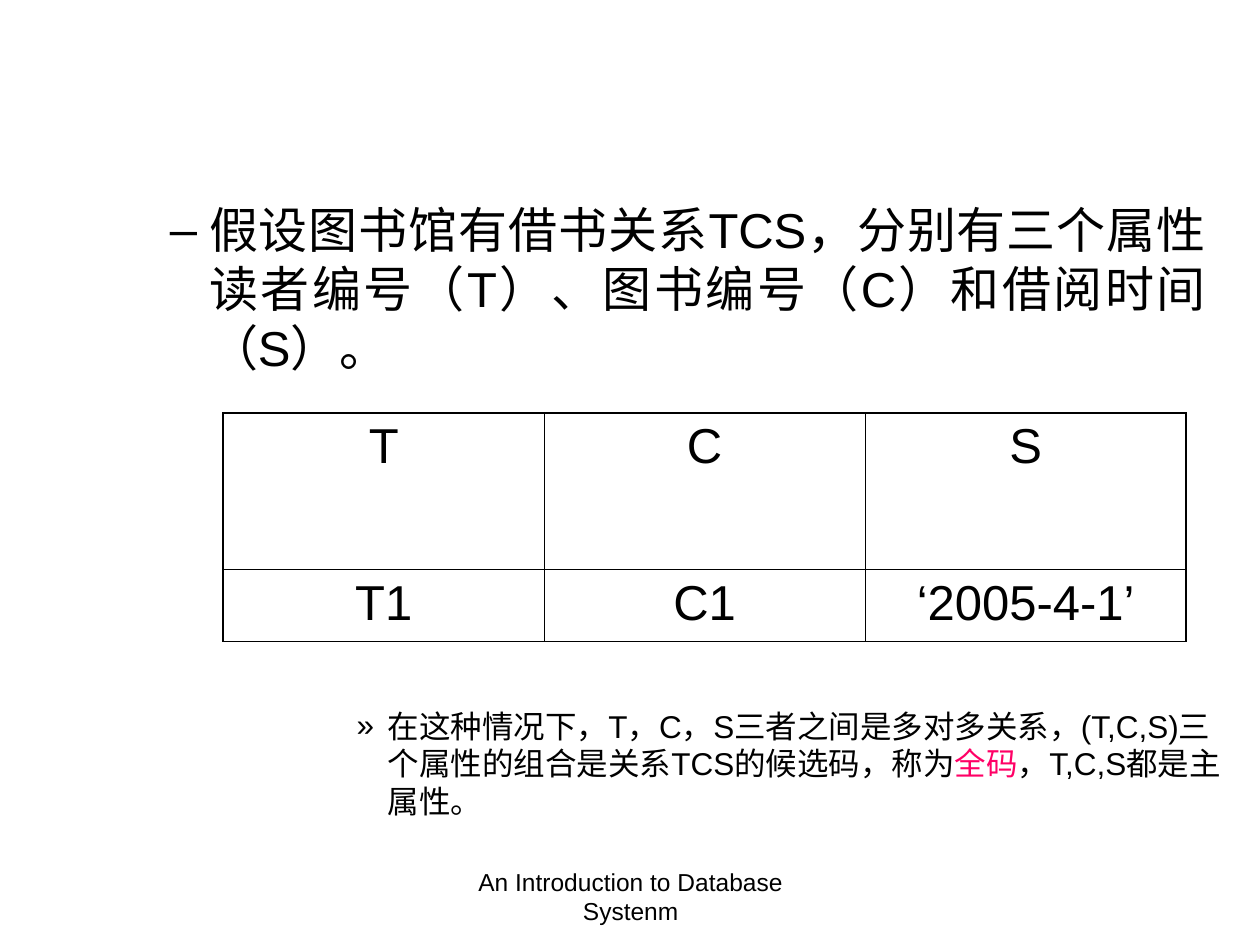
from dataclasses import dataclass

from lxml import etree
from pptx import Presentation
from pptx.dml.color import RGBColor
from pptx.enum.text import MSO_ANCHOR, MSO_AUTO_SIZE, PP_ALIGN
from pptx.oxml.ns import qn
from pptx.util import Cm, Pt

BLACK = RGBColor(0x00, 0x00, 0x00)
PINK = RGBColor(0xFF, 0x00, 0x66)
FONT = "Arial"
CENTER = PP_ALIGN.CENTER
JUSTIFY = PP_ALIGN.JUSTIFY
LEFT = PP_ALIGN.LEFT
TOP = MSO_ANCHOR.TOP
FIXED_SIZE = MSO_AUTO_SIZE.NONE
GROW = MSO_AUTO_SIZE.SHAPE_TO_FIT_TEXT
OUTER_LINE = Pt(1.08)
INNER_LINE = Pt(0.45)
ROWS = [["T", "C", "S"], ["T1", "C1", "‘2005-4-1’"]]
ROW_HEIGHTS = [Cm(3.15), Cm(1.45)]
COLUMN_WIDTH = Cm(6.47)


@dataclass
class TextPart:
    text: str
    color: RGBColor = BLACK


@dataclass
class Bullet:
    character: str
    level: int
    margin: int
    indent: int


def write_paragraph(paragraph, parts: list[TextPart], size: int, alignment) -> None:
    paragraph.alignment = alignment
    paragraph.space_before = Pt(0)
    for part in parts:
        run = paragraph.add_run()
        run.text = part.text
        run.font.name = FONT
        run.font.size = Pt(size)
        run.font.color.rgb = part.color


def add_bullet(paragraph, bullet: Bullet) -> None:
    paragraph.level = bullet.level
    properties = paragraph._p.get_or_add_pPr()
    properties.set("marL", str(bullet.margin))
    properties.set("indent", str(bullet.indent))
    color = etree.SubElement(properties, qn("a:buClr"))
    etree.SubElement(color, qn("a:srgbClr"), val=str(BLACK))
    etree.SubElement(properties, qn("a:buFont"), typeface=FONT)
    etree.SubElement(properties, qn("a:buChar"), char=bullet.character)


def set_frame(text_frame, auto_size) -> None:
    text_frame.word_wrap = True
    text_frame.vertical_anchor = TOP
    text_frame.auto_size = auto_size


def set_borders(cell, widths: dict[str, int]) -> None:
    properties = cell._tc.get_or_add_tcPr()
    for position, (side, width) in enumerate(widths.items()):
        line = etree.Element(qn(f"a:{side}"), w=str(width))
        fill = etree.SubElement(line, qn("a:solidFill"))
        etree.SubElement(fill, qn("a:srgbClr"), val=str(BLACK))
        properties.insert(position, line)


def add_relation_table(slide) -> None:
    row_count, column_count = len(ROWS), len(ROWS[0])
    table = slide.shapes.add_table(
        row_count, column_count, Cm(4.5), Cm(8.33),
        COLUMN_WIDTH * column_count, sum(ROW_HEIGHTS),
    ).table
    table.first_row = False
    table.horz_banding = False
    for column in table.columns:
        column.width = COLUMN_WIDTH
    for row_index, values in enumerate(ROWS):
        table.rows[row_index].height = ROW_HEIGHTS[row_index]
        for column_index, value in enumerate(values):
            cell = table.cell(row_index, column_index)
            cell.fill.background()
            write_paragraph(cell.text_frame.paragraphs[0], [TextPart(value)], 28, CENTER)
            on_edge = {
                "lnL": column_index == 0,
                "lnR": column_index == column_count - 1,
                "lnT": row_index == 0,
                "lnB": row_index == row_count - 1,
            }
            set_borders(cell, {
                side: OUTER_LINE if outer else INNER_LINE
                for side, outer in on_edge.items()
            })


def main() -> None:
    presentation = Presentation()
    presentation.slide_width = Cm(25.4)
    presentation.slide_height = Cm(19.05)
    slide = presentation.slides.add_slide(presentation.slide_layouts[1])
    title = slide.shapes.title
    title._element.getparent().remove(title._element)

    body = slide.placeholders[1]
    body.left, body.top, body.width, body.height = Cm(1.9), Cm(3.9), Cm(22.66), Cm(4.23)
    set_frame(body.text_frame, FIXED_SIZE)
    premise = body.text_frame.paragraphs[0]
    add_bullet(premise, Bullet("–", 1, Cm(2.06), Cm(-0.79)))
    write_paragraph(premise, [TextPart(
        "假设图书馆有借书关系TCS，分别有三个属性读者编号（T）、"
        "图书编号（C）和借阅时间（S）。"
    )], 28, JUSTIFY)

    add_relation_table(slide)

    conclusion_box = slide.shapes.add_textbox(Cm(2.49), Cm(14.12), Cm(22.4), Cm(2.54))
    set_frame(conclusion_box.text_frame, GROW)
    conclusion = conclusion_box.text_frame.paragraphs[0]
    add_bullet(conclusion, Bullet("»", 4, Cm(5.08), Cm(-0.63)))
    write_paragraph(conclusion, [
        TextPart(
            "在这种情况下，T，C，S三者之间是多对多关系，"
            "(T,C,S)三个属性的组合是关系TCS的候选码，称为"
        ),
        TextPart("全码", PINK),
        TextPart("，T,C,S都是主属性。"),
    ], 18, LEFT)

    footer = slide.shapes.add_textbox(Cm(8.69), Cm(17.35), Cm(8.05), Cm(1.32))
    set_frame(footer.text_frame, FIXED_SIZE)
    write_paragraph(
        footer.text_frame.paragraphs[0],
        [TextPart("An Introduction to Database Systenm")], 14, CENTER,
    )
    presentation.save("out.pptx")


if __name__ == "__main__":
    main()
